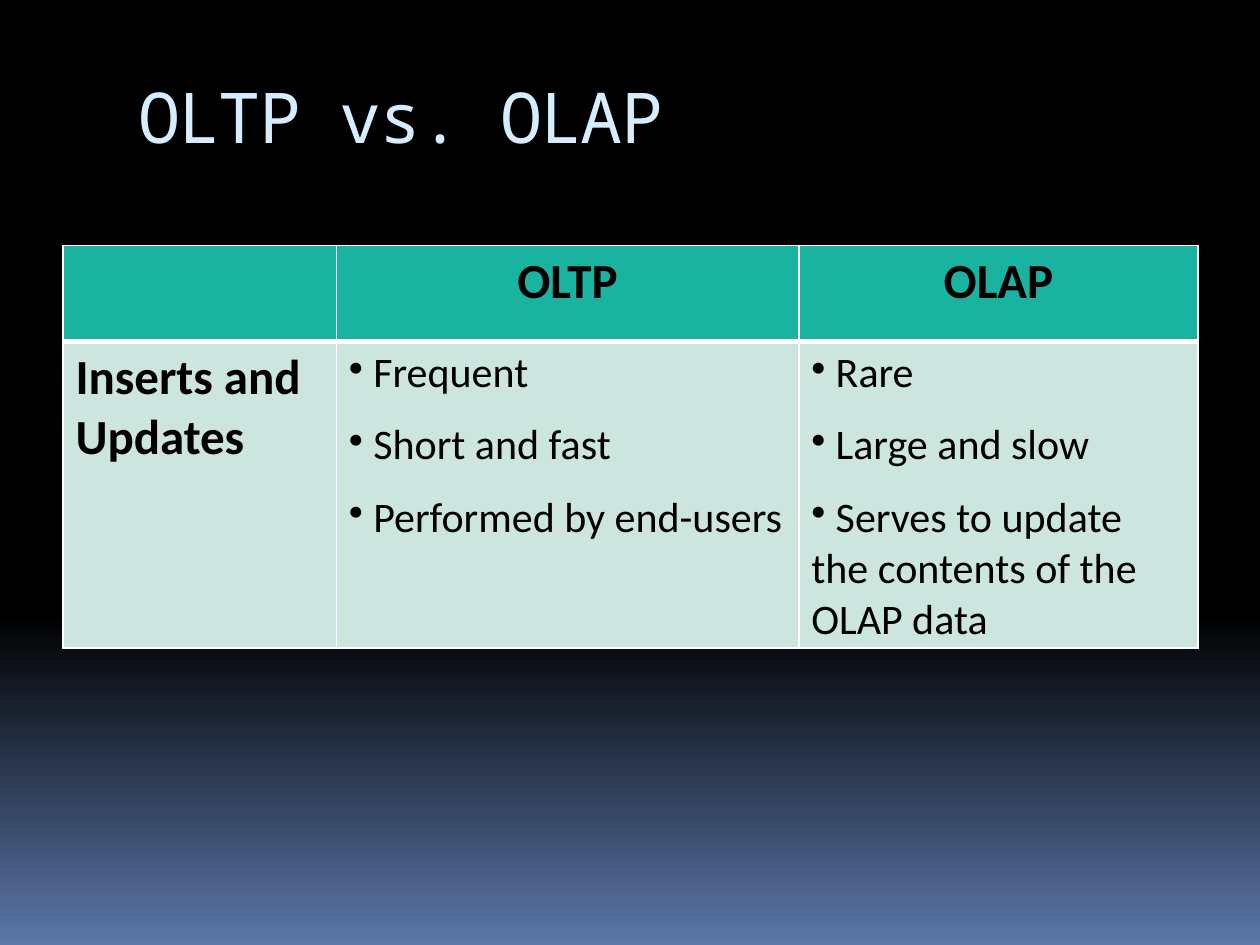
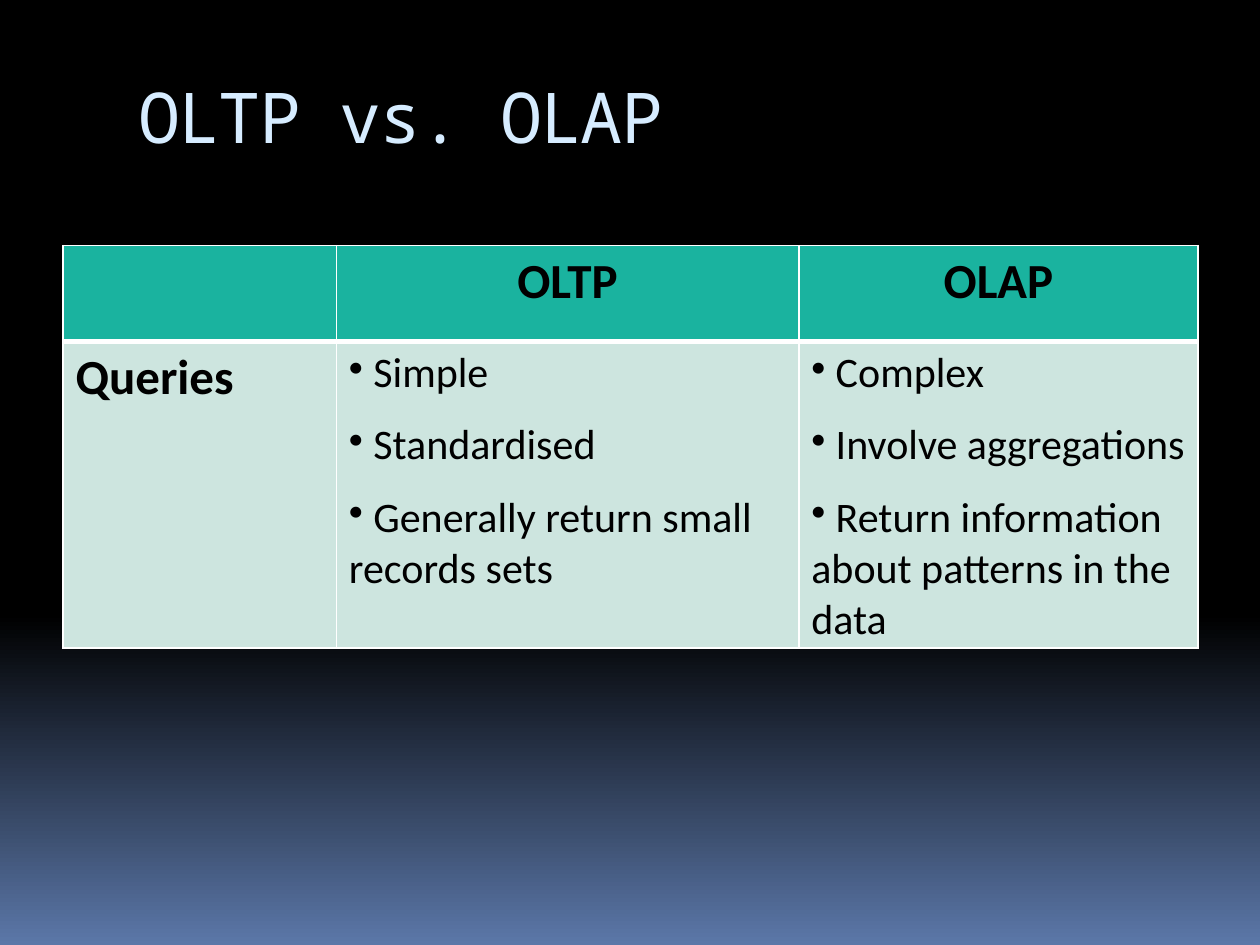
"""Build two slides comparing OLTP and OLAP in matching tables."""
from lxml.etree import SubElement
from pptx import Presentation
from pptx.dml.color import RGBColor
from pptx.enum.text import MSO_ANCHOR, PP_ALIGN
from pptx.oxml.ns import qn
from pptx.util import Inches, Pt

BLACK = RGBColor(0x00, 0x00, 0x00)
DUSK_BLUE = RGBColor(0x5B, 0x77, 0xA8)
PALE_BLUE = RGBColor(0xD6, 0xEC, 0xFF)
TEAL = RGBColor(0x1A, 0xB3, 0x9F)
MINT = RGBColor(0xCD, 0xE5, 0xDF)
WHITE = RGBColor(0xFF, 0xFF, 0xFF)

TITLE = "OLTP vs. OLAP"
HEADINGS = ["", "OLTP", "OLAP"]
COLUMN_WIDTHS = [2.17, 3.67, 3.17]
ROW_HEIGHTS = [0.76, 2.29]
COMPARISONS = [
    ("Inserts and Updates",
     ["Frequent", "Short and fast", "Performed by end-users"],
     ["Rare", "Large and slow", "Serves to update the contents of the OLAP data"]),
    ("Queries",
     ["Simple", "Standardised", "Generally return small records sets"],
     ["Complex", "Involve aggregations", "Return information about patterns in the data"]),
]


def style_cell(cell, fill_color, top_width, bottom_width):
    """Give a cell white borders and a solid fill."""
    properties = cell._tc.get_or_add_tcPr()
    for side, width in (("L", 1), ("R", 1), ("T", top_width), ("B", bottom_width)):
        line = SubElement(properties, qn(f"a:ln{side}"), w=str(Pt(width)))
        solid = SubElement(line, qn("a:solidFill"))
        SubElement(solid, qn("a:srgbClr"), val=str(WHITE))
    cell.fill.solid()
    cell.fill.fore_color.rgb = fill_color


def style_font(para, name, size, color, bold=False):
    """Format every run of a paragraph."""
    for span in para.runs:
        span.font.name = name
        span.font.size = Pt(size)
        span.font.color.rgb = color
        span.font.bold = bold


deck = Presentation()
deck.slide_width, deck.slide_height = Inches(10), Inches(7.5)

backdrop = deck.slide_master.background.fill
backdrop.gradient()
backdrop.gradient_angle = 270
for stop, position, color in zip(backdrop.gradient_stops, (0.65, 1), (BLACK, DUSK_BLUE)):
    stop.position = position
    stop.color.rgb = color

for topic, oltp_points, olap_points in COMPARISONS:
    page = deck.slides.add_slide(deck.slide_layouts[6])

    box = page.shapes.add_textbox(Inches(1), Inches(0.56), Inches(8.5), Inches(1))
    box.text_frame.word_wrap = True
    box.text_frame.vertical_anchor = MSO_ANCHOR.TOP
    box.text_frame.margin_top = Inches(0.02)
    box.text_frame.text = TITLE
    title = box.text_frame.paragraphs[0]
    style_font(title, "Noto Sans Mono", 40, PALE_BLUE)
    title.runs[0].font._element.set("spc", "-100")

    table = page.shapes.add_table(
        len(ROW_HEIGHTS), len(COLUMN_WIDTHS), Inches(0.5), Inches(1.95),
        Inches(sum(COLUMN_WIDTHS)), Inches(sum(ROW_HEIGHTS))).table
    for column, width in zip(table.columns, COLUMN_WIDTHS):
        column.width = Inches(width)
    for row, height in zip(table.rows, ROW_HEIGHTS):
        row.height = Inches(height)

    for index, heading in enumerate(HEADINGS):
        cell = table.cell(0, index)
        style_cell(cell, TEAL, 1, 3)
        cell.text_frame.text = heading
        para = cell.text_frame.paragraphs[0]
        para.alignment = PP_ALIGN.CENTER
        style_font(para, "Calibri", 28, BLACK, bold=True)
        style_cell_below = table.cell(1, index)
        style_cell(style_cell_below, MINT, 3, 1)

    label = table.cell(1, 0).text_frame
    label.text = topic
    style_font(label.paragraphs[0], "Calibri", 28, BLACK, bold=True)

    for index, points in enumerate((oltp_points, olap_points), start=1):
        frame = table.cell(1, index).text_frame
        frame.text = "\n".join(f" {point}" for point in points)
        for para in frame.paragraphs:
            para.space_before = para.space_after = Pt(6)
            SubElement(para._p.get_or_add_pPr(), qn("a:buChar"), char="•")
            style_font(para, "Calibri", 24, BLACK)

deck.save("out.pptx")
